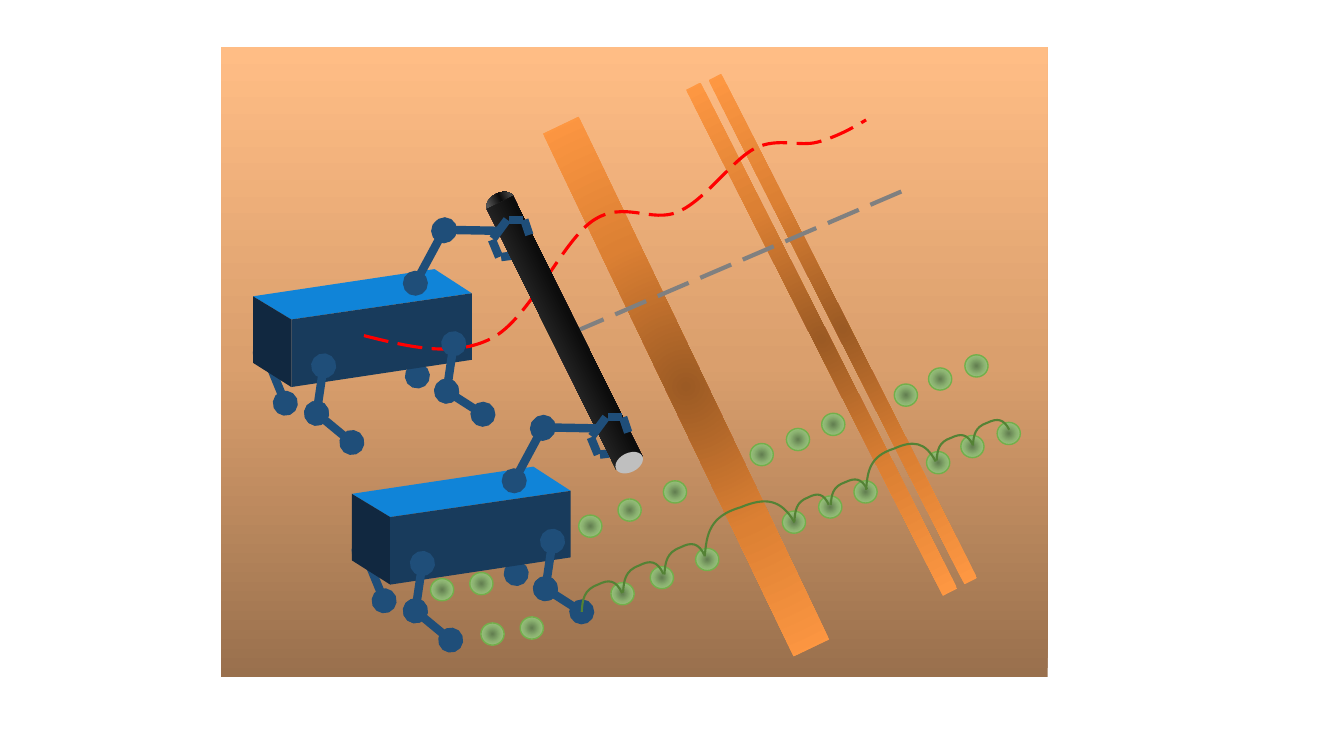
from math import cos, radians, sin
from lxml.etree import SubElement
from pptx import Presentation
from pptx.dml.color import RGBColor
from pptx.enum.dml import MSO_LINE
from pptx.enum.shapes import MSO_CONNECTOR, MSO_SHAPE
from pptx.oxml import parse_xml
from pptx.oxml.ns import nsdecls, qn
from pptx.util import Inches, Pt

COLORS = {
    "limb": "1F4E79", "top": "1084D8", "side": "112840", "front": "183B5C",
    "route": "FF0000", "heading": "808080", "hop": "548235",
    "leaf": "73AF4B", "pipe_end": "BFBFBF",
}
GRADIENTS = {
    "field": [(0, "99704D"), (50, "DA9F6D"), (100, "FFBD85")],
    "ridge": [(0, "9B5A24"), (50, "DC8033"), (100, "FF9843")],
    "plant": [(0, "637F51"), (50, "8DB473"), (100, "A8D689")],
    "pipe": [(0, "303030"), (22, "555555"), (55, "0C0C0C"),
             (85, "505050"), (100, "303030")],
}
FIELD = (2.19, 0.47, 8.2, 6.25)
RIDGES = [((6.61, 0.96, 0.39, 5.75), 334.4), ((8.07, 0.55, 0.16, 5.63), 333.1),
          ((8.29, 0.46, 0.14, 5.61), 333.1)]

# Robot parts, given for the first robot; the second is the same, shifted
ROBOT_SHIFTS = [(0, 0), (0.98, 1.96)]
FACES = {
    "top": [(2.51, 2.94), (4.31, 2.67), (4.68, 2.91), (2.89, 3.17)],
    "side": [(2.51, 2.94), (2.89, 3.17), (2.89, 3.84), (2.51, 3.6)],
    "front": [(2.89, 3.17), (4.68, 2.91), (4.68, 3.57), (2.89, 3.84)],
}
# Each limb: from, to, oval at from, oval at to
FAR_LEGS = [((2.63, 3.51), (2.83, 4), 1, 1), ((3.93, 3.45), (4.14, 3.73), 1, 1)]
NEAR_LIMBS = [
    ((4.43, 3.88), (4.79, 4.11), 1, 1), ((3.21, 3.63), (3.14, 4.1), 1, 1),
    ((3.14, 4.1), (3.49, 4.39), 1, 1), ((4.4, 2.29), (4.12, 2.81), 1, 1),
    ((4.95, 2.55), (4.88, 2.38), 0, 0), ((5.13, 2.53), (4.97, 2.55), 0, 0),
]
FRONT_LIMBS = [
    ((4.5, 3.41), (4.43, 3.88), 1, 1), ((5.25, 2.33), (5.2, 2.18), 0, 0),
    ((5.03, 2.18), (4.89, 2.37), 0, 0), ((5.19, 2.18), (5.05, 2.18), 0, 0),
    ((4.95, 2.29), (4.41, 2.28), 0, 1),
]

PLANT_SIZE = (0.23, 0.22)
# Front row of each bed, and the shift to its back row
BEDS = [
    ([(4.77, 6.18), (5.16, 6.12)], (-0.5, -0.44)),
    ([(6.06, 5.78), (6.45, 5.62), (6.9, 5.44), (7.76, 5.07), (8.12, 4.92),
      (8.47, 4.77), (9.19, 4.48), (9.53, 4.32), (9.89, 4.19)], (-0.32, -0.67)),
]
HOP_CURVE = [(0, 1), (0.02, 0.61), (0.05, 0.29), (0.4, 0.13),
             (0.67, -0.05), (0.85, -0.02), (1, 0.4)]
HOPS = [(5.77, 5.76, 0.4, 0.31), (6.18, 5.57, 0.4, 0.31), (6.59, 5.39, 0.4, 0.31),
        (6.99, 4.96, 0.89, 0.56), (7.88, 4.9, 0.34, 0.27), (8.24, 4.75, 0.36, 0.26),
        (8.59, 4.39, 0.69, 0.47), (9.29, 4.31, 0.36, 0.26), (9.65, 4.16, 0.36, 0.26)]
ROUTE = [
    (3.61, 3.33), (4.05, 3.44), (4.49, 3.55), (4.87, 3.36), (5.25, 3.17),
    (5.57, 2.4), (5.88, 2.19), (6.19, 1.98), (6.46, 2.22), (6.73, 2.1),
    (7, 1.98), (7.26, 1.59), (7.49, 1.47), (7.72, 1.36), (7.92, 1.46),
    (8.11, 1.41), (8.29, 1.36), (8.44, 1.28), (8.59, 1.19),
]
HEADING = ((5.68, 3.3), (9.01, 1.87))
PIPE = {"center": (5.6, 3.3), "width": 0.29, "length": 2.88, "cap": 0.19, "tilt": -26.4}

prs = Presentation()
prs.slide_width, prs.slide_height = Inches(13.33), Inches(7.5)
shapes = prs.slides.add_slide(prs.slide_layouts[6]).shapes


def rgb(name):
    """Return the named colour."""
    return RGBColor.from_string(COLORS[name])


def set_fill(s, name, angle=None):
    """Fill with a colour, a linear gradient at an angle, or a radial one."""
    if name in COLORS:
        s.fill.solid()
        s.fill.fore_color.rgb = rgb(name)
        return
    stops = "".join(f'<a:gs pos="{pos * 1000}"><a:srgbClr val="{color}"/></a:gs>'
                    for pos, color in GRADIENTS[name])
    if angle is None:
        way = ('<a:path path="circle"><a:fillToRect l="50000" t="50000" '
               'r="50000" b="50000"/></a:path>')
    else:
        way = f'<a:lin ang="{angle * 60000}" scaled="0"/>'
    s.fill.background()
    spPr = s._element.spPr
    spPr.replace(spPr.find(qn("a:noFill")), parse_xml(
        f'<a:gradFill {nsdecls("a")} rotWithShape="1"><a:gsLst>{stops}</a:gsLst>'
        f'{way}</a:gradFill>'))


def set_line(s, name, width, dash=None):
    """Set the outline colour, width and dash."""
    for key, value in {"width": Pt(width), "dash_style": dash}.items():
        setattr(s.line, key, value)
    s.line.color.rgb = rgb(name)


def add_preset(kind, box, fill, angle=None, rotation=0, outline=None):
    """Add a preset shape."""
    s = shapes.add_shape(kind, *map(Inches, box))
    s.shadow.inherit = False
    s.rotation = rotation
    set_fill(s, fill, angle)
    if outline:
        set_line(s, outline, 1)
    else:
        s.line.fill.background()
    return s


def add_outline(points, closed):
    """Add a freeform through the points."""
    first, *rest = [(Inches(x), Inches(y)) for x, y in points]
    builder = shapes.build_freeform(*first)
    builder.add_line_segments(rest, close=closed)
    s = builder.convert_to_shape()
    s.shadow.inherit = False
    return s


def add_curve(points, color, width, dash=None):
    """Add an open Bezier curve: a start, then triples of points."""
    s = add_outline(points, False)
    s.fill.background()
    set_line(s, color, width, dash)
    track = s._element.spPr.find(".//" + qn("a:path"))
    steps = track.findall(qn("a:lnTo"))
    for i in range(0, len(steps), 3):
        bend = SubElement(track, qn("a:cubicBezTo"))
        for step in steps[i:i + 3]:
            bend.append(step[0])
            track.remove(step)


def add_line(start, end, color, width, dash=None, ovals=(0, 0)):
    """Add a straight line with optional oval ends."""
    s = shapes.add_connector(MSO_CONNECTOR.STRAIGHT, *map(Inches, (*start, *end)))
    set_line(s, color, width, dash)
    spPr = s._element.spPr
    for tag, shown in zip(("a:headEnd", "a:tailEnd"), ovals):
        if shown:
            SubElement(spPr.find(qn("a:ln")), qn(tag), type="oval")
    SubElement(spPr, qn("a:effectLst"))


def shift(point, by):
    """Move a point."""
    return point[0] + by[0], point[1] + by[1]


def add_limbs(limbs, by):
    """Add limbs of one robot."""
    for start, end, *ovals in limbs:
        add_line(shift(start, by), shift(end, by), "limb", 6, ovals=ovals)


def add_pipe(center, width, length, cap, tilt):
    """Add the carried pipe: far cap, barrel and near end."""
    dx, dy = -sin(radians(tilt)) * length / 2, cos(radians(tilt)) * length / 2
    for kind, sign, height, fill in ((MSO_SHAPE.OVAL, -1, cap, "pipe"),
                                     (MSO_SHAPE.RECTANGLE, 0, length, "pipe"),
                                     (MSO_SHAPE.OVAL, 1, cap, "pipe_end")):
        x, y = shift(center, (sign * dx, sign * dy))
        add_preset(kind, (x - width / 2, y - height / 2, width, height),
                   fill, angle=0, rotation=tilt)


add_preset(MSO_SHAPE.RECTANGLE, FIELD, "field", angle=270)
for by in ROBOT_SHIFTS:
    add_limbs(FAR_LEGS, by)
    for face, corners in FACES.items():
        s = add_outline([shift(c, by) for c in corners], True)
        set_fill(s, face)
        s.line.fill.background()
    add_limbs(NEAR_LIMBS, by)
for box, rotation in RIDGES:
    add_preset(MSO_SHAPE.RECTANGLE, box, "ridge", rotation=rotation)
for row, back in BEDS:
    for by in ((0, 0), back):
        for spot in row:
            add_preset(MSO_SHAPE.OVAL, (*shift(spot, by), *PLANT_SIZE), "plant", outline="leaf")
for x, y, w, h in HOPS:
    add_curve([(x + u * w, y + v * h) for u, v in HOP_CURVE], "hop", 1.5)
add_curve(ROUTE, "route", 2.25, MSO_LINE.LONG_DASH)
add_line(*HEADING, "heading", 3, MSO_LINE.LONG_DASH)
add_pipe(**PIPE)
for by in ROBOT_SHIFTS:
    add_limbs(FRONT_LIMBS, by)

prs.save("out.pptx")
